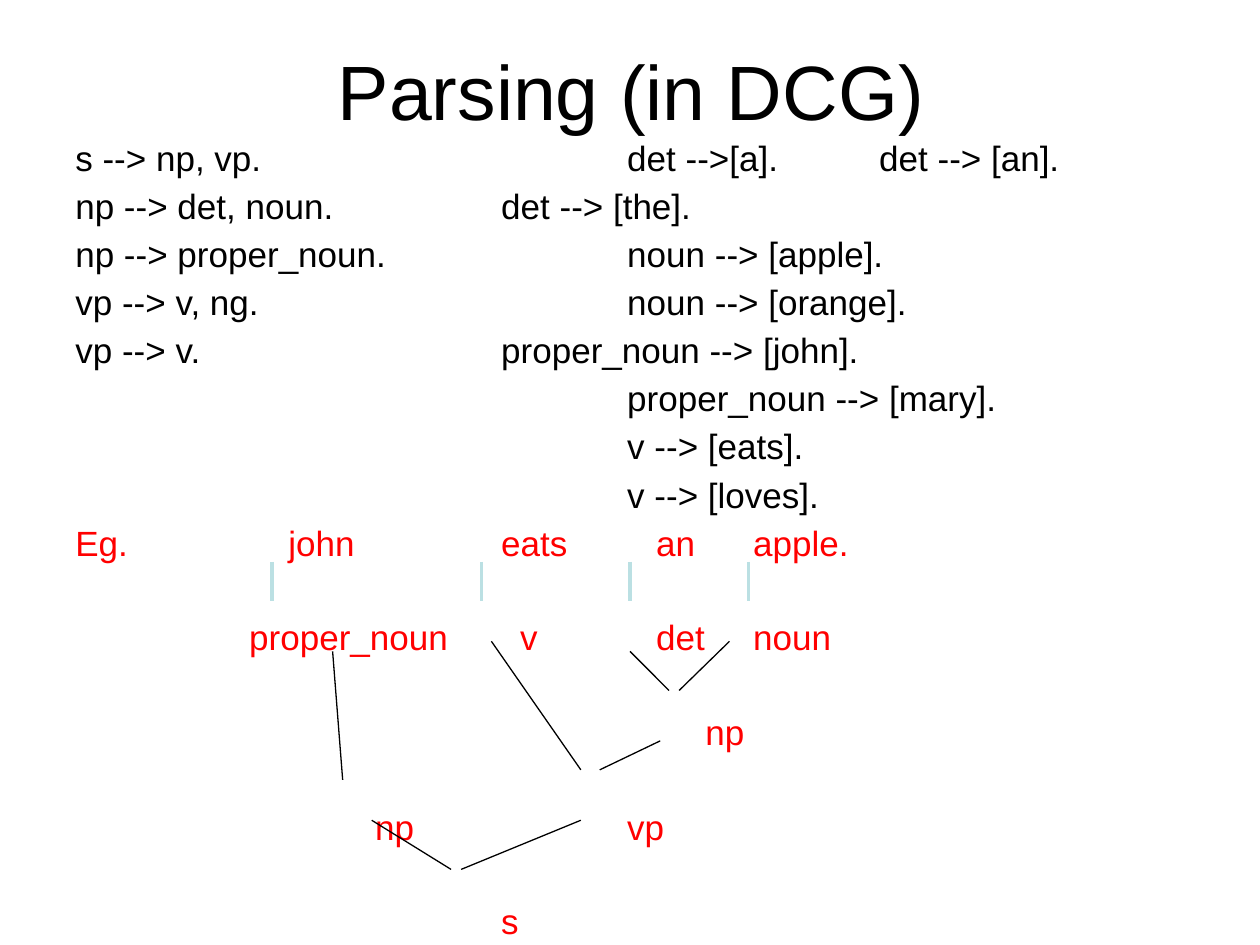
from lxml.etree import SubElement
from pptx import Presentation
from pptx.dml.color import RGBColor
from pptx.enum.shapes import MSO_CONNECTOR
from pptx.enum.text import MSO_ANCHOR, PP_ALIGN
from pptx.oxml.ns import qn
from pptx.util import Inches, Pt

# Content: each row lists (column in inches from the text edge, words)
COLORS = {"text": "000000", "example": "FF0000", "branch": "000000", "link": "BBE0E3"}
TITLE = "Parsing (in DCG)"
NEAR, FAR, LAST = 3.38, 4.38, 6.38
GRAMMAR = [
    [(0, "s --> np, vp."), (FAR, "det -->[a]."), (LAST, "det --> [an].")],
    [(0, "np --> det, noun."), (NEAR, "det --> [the].")],
    [(0, "np --> proper_noun."), (FAR, "noun --> [apple].")],
    [(0, "vp --> v, ng."), (FAR, "noun --> [orange].")],
    [(0, "vp --> v."), (NEAR, "proper_noun --> [john].")],
    [(FAR, "proper_noun --> [mary].")],
    [(FAR, "v --> [eats].")],
    [(FAR, "v --> [loves].")],
]
SENTENCE = [(0, "Eg."), (1.69, "john"), (NEAR, "eats"), (4.61, "an"), (5.38, "apple.")]
TREE = [
    [(1.38, "proper_noun"), (3.53, "v"), (4.61, "det"), (5.38, "noun")],
    [(5, "np")],
    [(2.38, "np"), (FAR, "vp")],
    [(NEAR, "s")],
]
BRANCHES = [
    (2.64, 5.17, 2.72, 6.19), (3.9, 5.09, 4.61, 6.11), (5.24, 5.88, 4.76, 6.11),
    (2.95, 6.51, 3.58, 6.9), (4.61, 6.51, 3.66, 6.9),
    (5, 5.17, 5.31, 5.48), (5.39, 5.48, 5.79, 5.09),
]
LINK_TOP, LINK_BOTTOM = 4.46, 4.77
LINKS = [(x, LINK_TOP, x, LINK_BOTTOM) for x in (2.16, 3.82, 5, 5.94)]

# Row spacing in points; tree rows stand two rows apart
ROW_GAP, ROW_PITCH = 5.9, 26.6
TREE_GAP = ROW_GAP + ROW_PITCH

prs = Presentation()
prs.slide_width, prs.slide_height = Inches(10), Inches(7.5)
slide = prs.slides.add_slide(prs.slide_layouts[5])


def apply(target, values):
    for name, value in values.items():
        setattr(target, name, value)


def place(shape, left, top, width, height):
    apply(shape, {"left": Inches(left), "top": Inches(top),
                  "width": Inches(width), "height": Inches(height)})


def style(font, size, color):
    apply(font, {"name": "Arial", "size": Pt(size)})
    font.color.rgb = RGBColor.from_string(COLORS[color])


def write_row(paragraph, cells, gap, color):
    apply(paragraph, {"alignment": PP_ALIGN.LEFT, "line_spacing": 0.9,
                      "space_before": Pt(gap)})
    run = paragraph.add_run()
    run.text = "".join(("\t" if column else "") + words for column, words in cells)
    style(run.font, 20, color)
    tabs = SubElement(paragraph._p.get_or_add_pPr(), qn("a:tabLst"))
    for column, _ in cells:
        if column:
            SubElement(tabs, qn("a:tab"), pos=str(Inches(column)), algn="l")


def draw_line(ends, color, width):
    line = slide.shapes.add_connector(MSO_CONNECTOR.STRAIGHT, *map(Inches, ends))
    line.line.color.rgb = RGBColor.from_string(COLORS[color])
    line.line.width = Pt(width)
    SubElement(line._element.spPr, qn("a:effectLst"))


# Title
title = slide.shapes.title
place(title, 0.51, 0.28, 9, 0.87)
title.text_frame.text = TITLE
title.text_frame.vertical_anchor = MSO_ANCHOR.MIDDLE
heading = title.text_frame.paragraphs[0]
heading.alignment = PP_ALIGN.CENTER
style(heading.runs[0].font, 44, "text")

# Grammar rules, example sentence and tree labels
body = slide.shapes.add_textbox(0, 0, 0, 0)
place(body, 0.5, 1.07, 9, 6.43)
frame = body.text_frame
frame.word_wrap = True
rows = [(cells, ROW_GAP, "text") for cells in GRAMMAR]
rows.append((SENTENCE, ROW_GAP, "example"))
rows += [(cells, TREE_GAP, "example") for cells in TREE]
for index, row in enumerate(rows):
    write_row(frame.add_paragraph() if index else frame.paragraphs[0], *row)

# Tree branches and word links
for group, color, width in ((BRANCHES, "branch", 0.74), (LINKS, "link", 2)):
    for ends in group:
        draw_line(ends, color, width)

prs.save("out.pptx")
